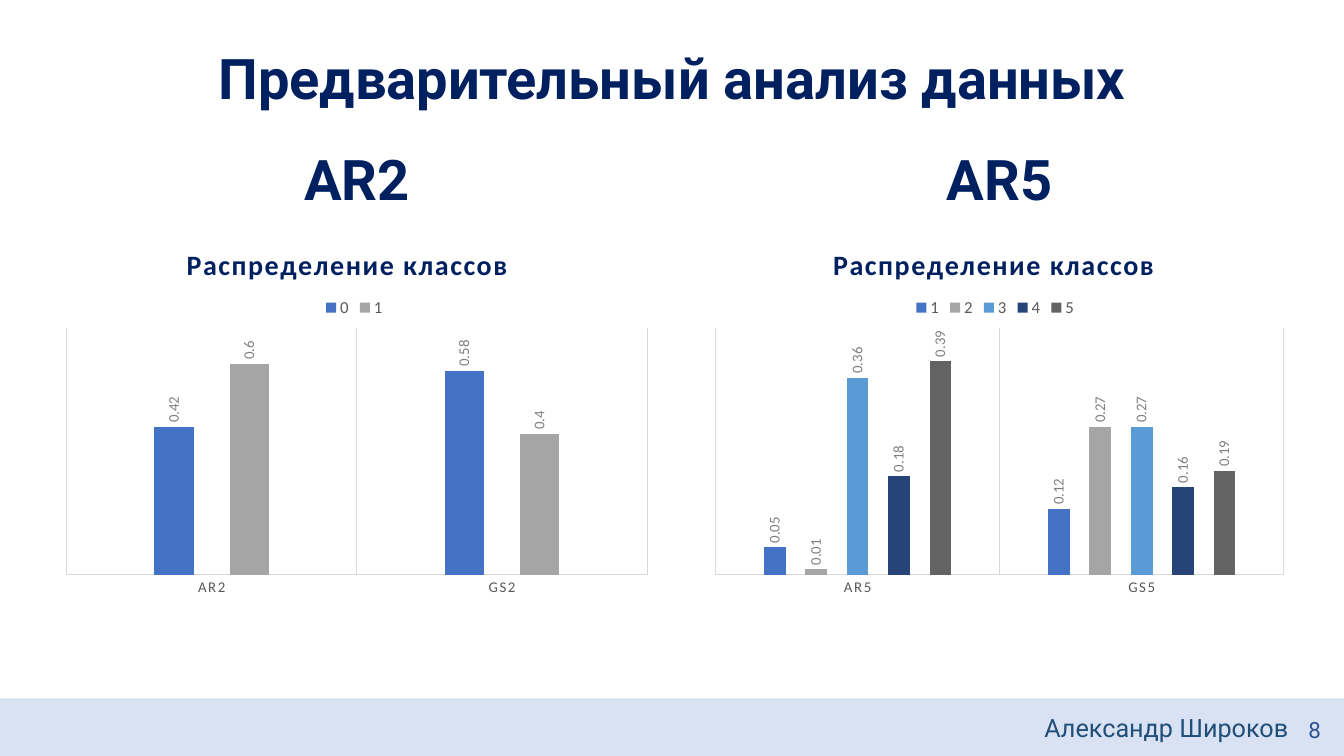
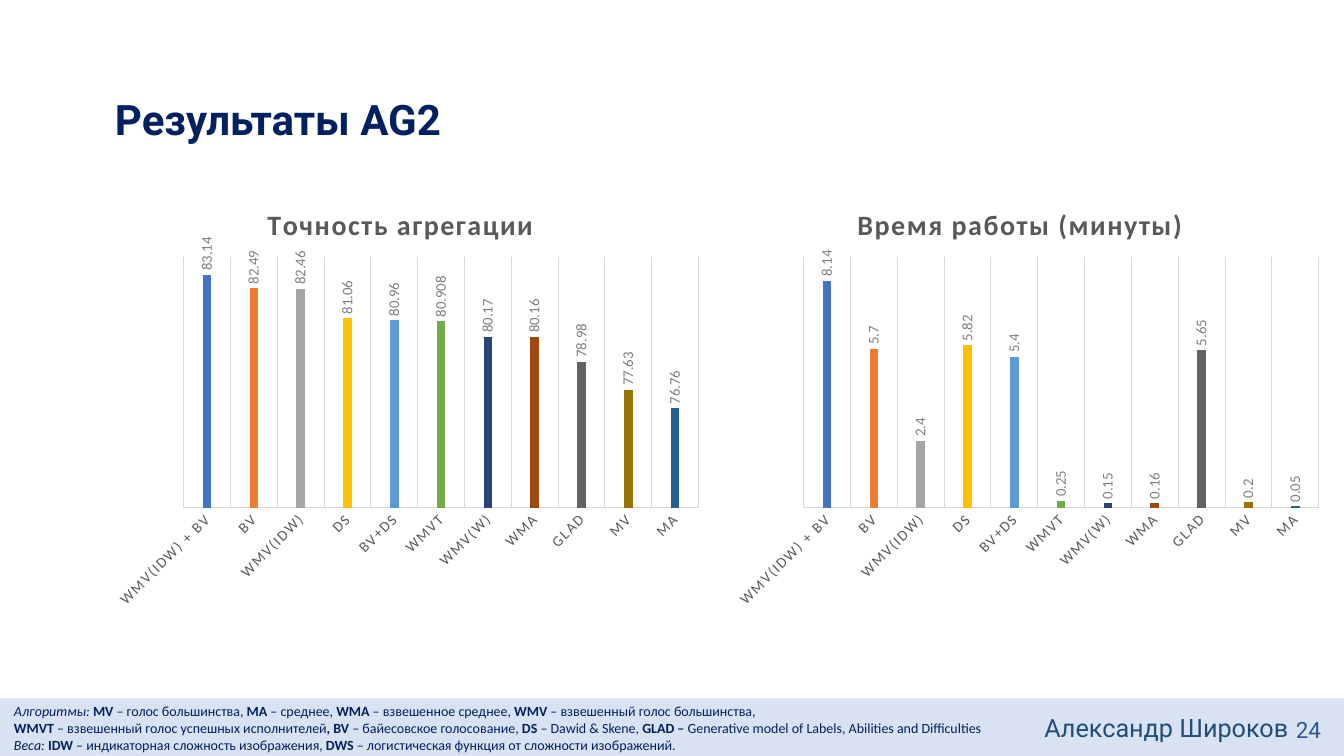
from dataclasses import dataclass

from lxml.etree import SubElement
from pptx import Presentation
from pptx.chart.data import CategoryChartData
from pptx.dml.color import RGBColor
from pptx.enum.chart import XL_CHART_TYPE, XL_LABEL_POSITION, XL_LEGEND_POSITION, XL_TICK_MARK
from pptx.enum.shapes import MSO_SHAPE
from pptx.enum.text import MSO_ANCHOR, MSO_AUTO_SIZE, PP_ALIGN
from pptx.oxml import parse_xml
from pptx.oxml.ns import nsdecls, qn
from pptx.util import Inches, Pt


@dataclass(frozen=True)
class Theme:
    heading_font: str = "Roboto"
    body_font: str = "Calibri"
    navy: str = "002060"
    author: str = "1F4E79"
    number: str = "2F5597"
    band: str = "B4C7E7"
    grey: str = "595959"
    value: str = "808080"
    rule: str = "D9D9D9"
    accents: tuple = ("4472C4", "ED7D31", "A5A5A5", "FFC000", "5B9BD5", "70AD47",
                      "264478", "9E480E", "636363", "997300", "255E91")
    heading_size: float = 40
    result_size: float = 30
    chart_title_size: float = 20
    author_size: float = 18
    number_size: float = 16
    legend_size: float = 12
    label_size: float = 10.6
    note_size: float = 10


THEME = Theme()
WIDTH, HEIGHT = 13.33, 7.5
BAND_TOP = 6.93
HEADING_HEIGHT = 0.9
AUTHOR = "Александр Широков"

DISTRIBUTION_TITLE = "Распределение классов"
# Accents 1, 3, 5, 7 and 9 colour the classes.
CLASS_COLOURS = THEME.accents[::2]
DISTRIBUTIONS = [
    dict(heading="AR2", heading_box=(0.47, 1.26, 6.14, HEADING_HEIGHT),
         box=(0.54, 2.15, 6, 3.82), categories=("AR2", "GS2"),
         series={"0": (0.42, 0.58), "1": (0.6, 0.4)},
         scale=(0, 0.7), title_left=0.21, legend_left=0.44),
    dict(heading="AR5", heading_box=(6.67, 1.26, 6.49, HEADING_HEIGHT),
         box=(6.98, 2.15, 5.87, 3.82), categories=("AR5", "GS5"),
         series={"1": (0.05, 0.12), "2": (0.01, 0.27), "3": (0.36, 0.27),
                 "4": (0.18, 0.16), "5": (0.39, 0.19)},
         scale=(0, 0.45), title_left=0.21, legend_left=0.35),
]

METHODS = ("WMV(IDW) + BV", "BV", "WMV(IDW)", "DS", "BV+DS", "WMVT",
           "WMV(W)", "WMA", "GLAD", "MV", "MA")
RESULTS = [
    dict(title="Точность агрегации", box=(1.04, 1.76, 6.01, 4.37),
         values=(83.14, 82.49, 82.46, 81.06, 80.96, 80.908, 80.17, 80.16,
                 78.98, 77.63, 76.76),
         scale=(72, 84), title_left=0.26),
    dict(title="Время работы (минуты)", box=(7.19, 1.76, 6.01, 4.37),
         values=(8.14, 5.7, 2.4, 5.82, 5.4, 0.25, 0.15, 0.16, 5.65, 0.2, 0.05),
         scale=(0, 9), title_left=0.21),
]

# Each run is a style (b bold, i italic) and its text.
GLOSSARY = [
    [("i", "Алгоритмы: "), ("b", "MV"), ("", " – голос большинства, "),
     ("b", "MA"), ("", " – среднее, "), ("b", "WMA "),
     ("", "– взвешенное среднее, "), ("b", "WMV"),
     ("", " – взвешенный голос большинства,")],
    [("b", "WMVT"), ("", " – взвешенный голос успешных исполнителей"),
     ("b", ", BV "), ("", "– байесовское голосование, "), ("b", "DS"),
     ("", " – Dawid & Skene, "), ("b", "GLAD – "),
     ("", "Generative model of Labels, Abilities and Difficulties")],
    [("i", "Веса: "), ("b", "IDW"),
     ("", " – индикаторная сложность изображения, "), ("b", "DWS"),
     ("", " – логистическая функция от сложности изображений.")],
]


def inches(box):
    return [Inches(length) for length in box]


def style_font(font, size, colour, name=THEME.body_font, bold=False, italic=False):
    font.size, font.name = Pt(size), name
    font.bold, font.italic = bold, italic
    font.color.rgb = RGBColor.from_string(colour)


def write(frame, text, size, colour, align=PP_ALIGN.LEFT, anchor=MSO_ANCHOR.TOP,
          bold=False, wrap=True):
    frame.text = text
    frame.word_wrap = wrap
    frame.auto_size = MSO_AUTO_SIZE.NONE
    frame.vertical_anchor = anchor
    paragraph = frame.paragraphs[0]
    paragraph.alignment = align
    for run in paragraph.runs:
        style_font(run.font, size, colour, THEME.heading_font, bold)


def write_heading(shape, text, size=THEME.heading_size, align=PP_ALIGN.CENTER):
    write(shape.text_frame, text, size, THEME.navy, align, MSO_ANCHOR.BOTTOM, bold=True)
    shape.text_frame.paragraphs[0].line_spacing = 0.9


def new_slide(deck, title, title_box, number, **title_style):
    """Add a slide with its title, footer band, author and page number."""
    slide = deck.slides.add_slide(deck.slide_layouts[5])
    heading = slide.shapes.title
    heading.left, heading.top, heading.width, heading.height = inches(title_box)
    write_heading(heading, title, **title_style)

    band = slide.shapes.add_shape(
        MSO_SHAPE.RECTANGLE, *inches((0, BAND_TOP, WIDTH, HEIGHT - BAND_TOP)))
    band.shadow.inherit = False
    band.fill.solid()
    band.fill.fore_color.rgb = RGBColor.from_string(THEME.band)
    band.line.fill.background()
    colour = next(band._element.iter(qn("a:srgbClr")))
    SubElement(colour, qn("a:alpha")).set("val", "50000")

    author = slide.shapes.add_textbox(*inches((10.26, 7.02, 2.62, 0.4)))
    write(author.text_frame, AUTHOR, THEME.author_size, THEME.author, wrap=False)
    page = slide.shapes.add_textbox(*inches((12.64, 7.02, 0.56, 0.44)))
    write(page.text_frame, number, THEME.number_size, THEME.number,
          PP_ALIGN.RIGHT, MSO_ANCHOR.MIDDLE)
    return slide


def place(part, inner=False, **shares):
    """Fix a chart part at shares (x, y, w, h) of the chart's size."""
    for old in part.findall(qn("c:layout")):
        part.remove(old)
    layout = parse_xml(f"<c:layout {nsdecls('c')}><c:manualLayout/></c:layout>")
    settings = {"layoutTarget": "inner"} if inner else {}
    settings.update(xMode="edge", yMode="edge", **shares)
    for key, setting in settings.items():
        SubElement(layout[0], qn(f"c:{key}")).set("val", str(setting))
    leading = [child for child in part if child.tag in (qn("c:tx"), qn("c:legendPos"))]
    part.insert(len(leading), layout)


def turn(part, degrees):
    body = part.find(qn("c:txPr")).find(qn("a:bodyPr"))
    body.set("rot", str(degrees * 60000))
    body.set("vert", "horz")


def paint(fill, colour):
    fill.solid()
    fill.fore_color.rgb = RGBColor.from_string(colour)


def add_columns(slide, box, title, categories, series, scale, plot_area,
                title_at, title_colour, label_turn=0):
    data = CategoryChartData()
    data.categories = categories
    for name, values in series.items():
        data.add_series(name, values)
    chart = slide.shapes.add_chart(
        XL_CHART_TYPE.COLUMN_CLUSTERED, *inches(box), data).chart
    chart.font.name, chart.font.size = THEME.body_font, Pt(10)
    chart.has_legend = False

    chart.has_title = True
    caption = chart.chart_title.text_frame
    caption.text = title
    run = caption.paragraphs[0].runs[0]
    style_font(run.font, THEME.chart_title_size, title_colour, bold=True)
    run._r.get_or_add_rPr().set("spc", "100")
    place(chart.chart_title._element, x=title_at[0], y=title_at[1])
    place(chart._chartSpace.chart.plotArea, inner=True, **plot_area)

    scale_axis = chart.value_axis
    scale_axis.minimum_scale, scale_axis.maximum_scale = scale
    scale_axis.has_major_gridlines = False
    scale_axis.visible = False

    names = chart.category_axis
    names.major_tick_mark = names.minor_tick_mark = XL_TICK_MARK.NONE
    names.has_major_gridlines = True
    for line in (names.format.line, names.major_gridlines.format.line):
        line.color.rgb = RGBColor.from_string(THEME.rule)
        line.width = Pt(0.75)
    style_font(names.tick_labels.font, THEME.label_size, THEME.grey)
    next(names._element.iter(qn("a:defRPr"))).set("spc", "120")
    turn(names._element, label_turn)

    plot = chart.plots[0]
    plot.vary_by_categories = False
    plot.gap_width, plot.overlap = 444, -90
    plot.has_data_labels = True
    labels = plot.data_labels
    labels.show_value = True
    labels.position = XL_LABEL_POSITION.OUTSIDE_END
    style_font(labels.font, THEME.label_size, THEME.value)
    turn(labels._element, -90)
    return chart


def add_distribution(slide, group):
    heading = slide.shapes.add_textbox(*inches(group["heading_box"]))
    write_heading(heading, group["heading"])
    chart = add_columns(
        slide, group["box"], DISTRIBUTION_TITLE, group["categories"],
        group["series"], group["scale"], dict(x=0.02, y=0.29, w=0.96, h=0.64),
        (group["title_left"], 0.06), THEME.navy)
    for series, colour in zip(chart.plots[0].series, CLASS_COLOURS):
        paint(series.format.fill, colour)
    chart.has_legend = True
    legend = chart.legend
    legend.position = XL_LEGEND_POSITION.TOP
    legend.include_in_layout = False
    style_font(legend.font, THEME.legend_size, THEME.grey)
    place(legend._element, x=group["legend_left"], y=0.2)


def add_result(slide, result):
    chart = add_columns(
        slide, result["box"], result["title"], METHODS,
        {"Series 1": result["values"]}, result["scale"],
        dict(x=0.13, y=0.18, w=0.85, h=0.57),
        (result["title_left"], 0.05), THEME.grey, label_turn=-45)
    series = chart.plots[0].series[0]
    for index, colour in enumerate(THEME.accents):
        paint(series.points[index].format.fill, colour)


def add_glossary(slide):
    frame = slide.shapes.add_textbox(*inches((0.04, 6.92, 12.29, 0.61))).text_frame
    frame.word_wrap = True
    for index, entries in enumerate(GLOSSARY):
        paragraph = frame.add_paragraph() if index else frame.paragraphs[0]
        for style, text in entries:
            run = paragraph.add_run()
            run.text = text
            style_font(run.font, THEME.note_size, THEME.navy,
                       bold=style == "b", italic=style == "i")


def main():
    deck = Presentation()
    deck.slide_width, deck.slide_height = Inches(WIDTH), Inches(HEIGHT)

    analysis = new_slide(deck, "Предварительный анализ данных",
                         (0.52, 0.26, 12.29, HEADING_HEIGHT), "8")
    for group in DISTRIBUTIONS:
        add_distribution(analysis, group)

    results = new_slide(deck, "Результаты AG2", (1.04, 0.58, 12.29, HEADING_HEIGHT), "24",
                        size=THEME.result_size, align=PP_ALIGN.LEFT)
    for result in RESULTS:
        add_result(results, result)
    add_glossary(results)

    deck.save("out.pptx")


if __name__ == "__main__":
    main()
